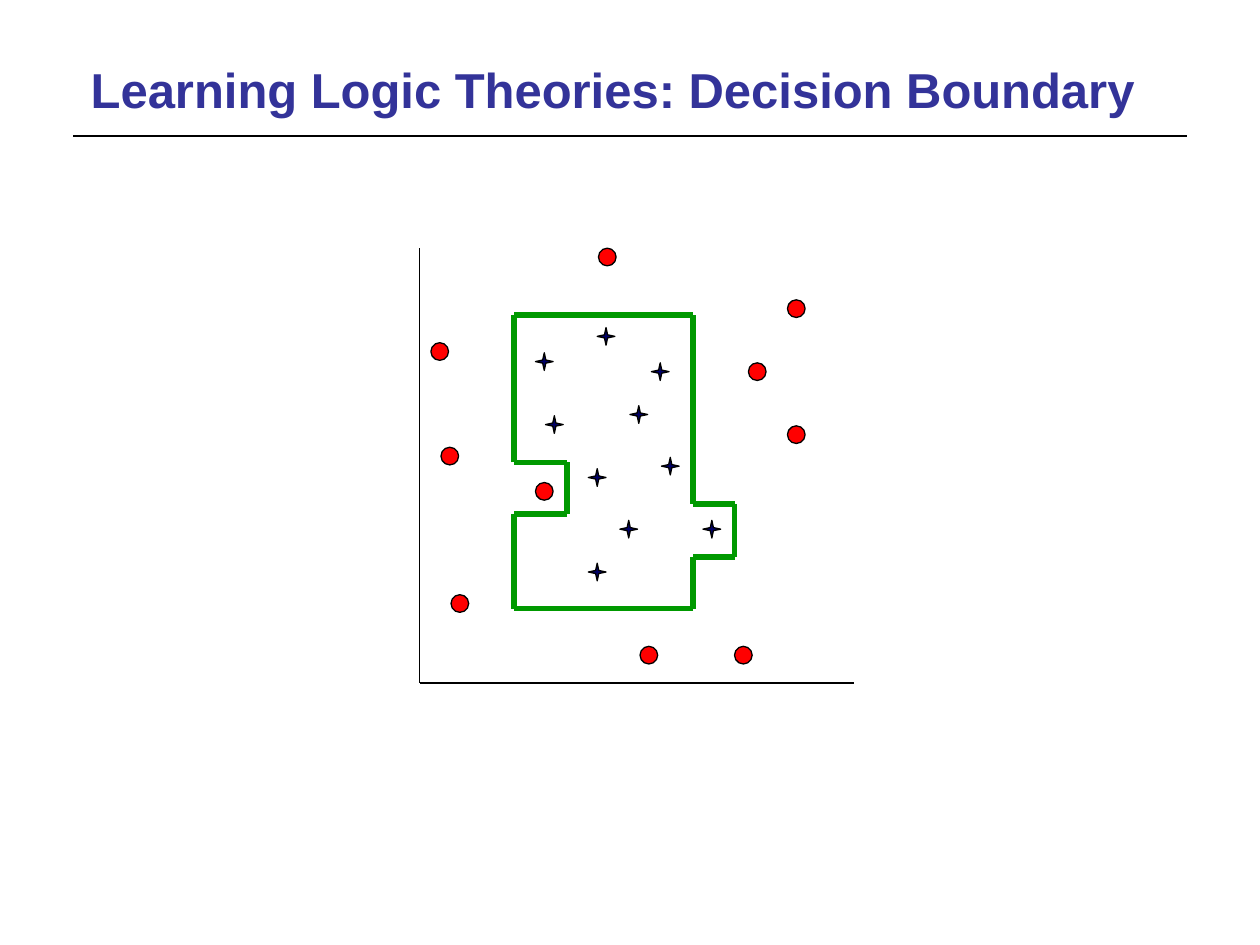
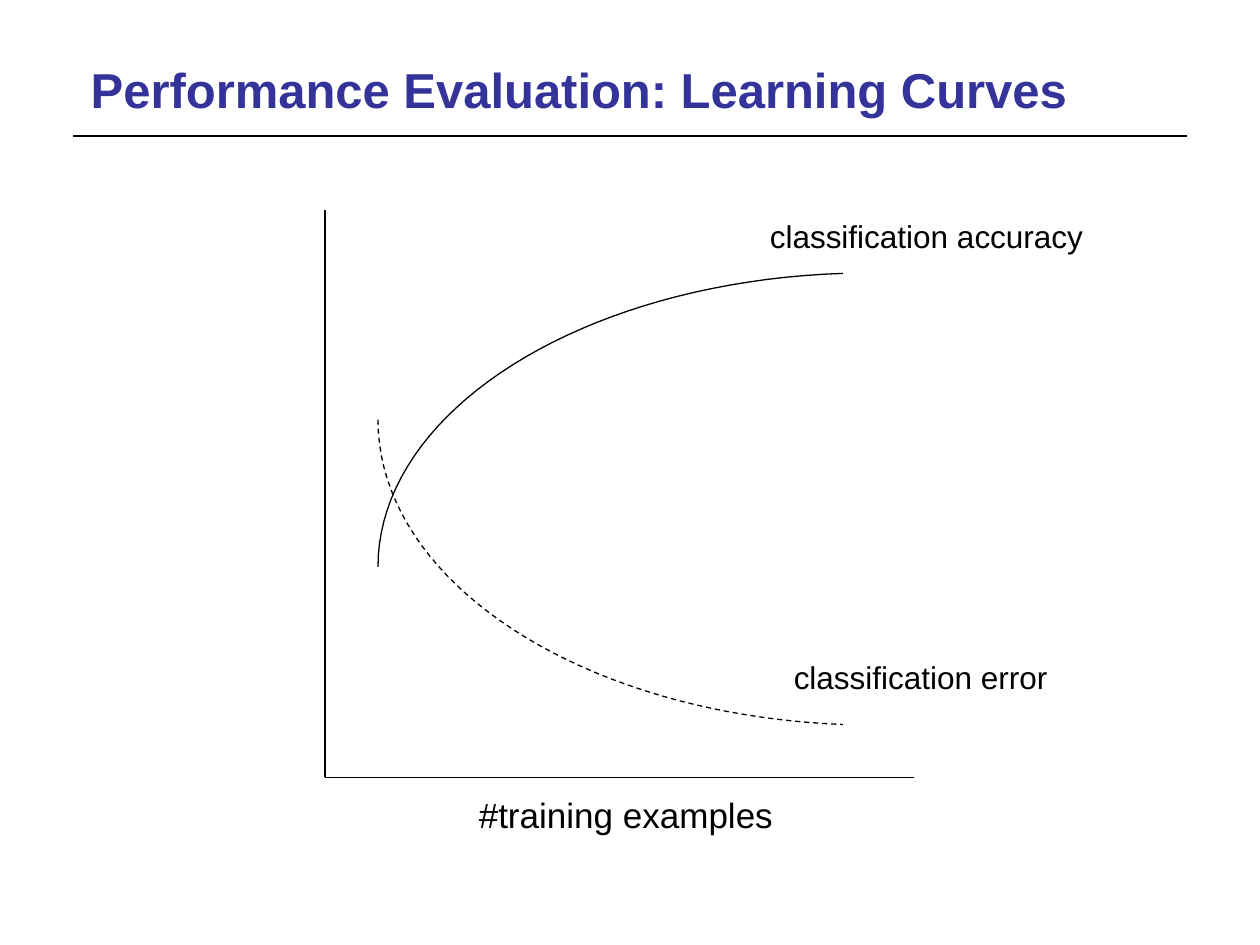
from pptx import Presentation
from pptx.dml.color import RGBColor
from pptx.enum.dml import MSO_LINE_DASH_STYLE as Dash
from pptx.enum.shapes import MSO_CONNECTOR as Link, MSO_SHAPE as Form
from pptx.enum.text import MSO_ANCHOR as Anchor, MSO_AUTO_SIZE as Fit
from pptx.oxml.ns import qn
from pptx.util import Inches, Pt
from lxml.etree import SubElement

BLACK = RGBColor(0x00, 0x00, 0x00)
INDIGO = RGBColor(0x33, 0x33, 0x99)
NAVY = RGBColor(0x00, 0x00, 0x66)
RED = RGBColor(0xFF, 0x00, 0x00)
GREEN = RGBColor(0x00, 0x99, 0x00)

FONT = "Arial"
THIN = 0.75
MARK = 0.14
STEPS = 40

STARS = [(5.58, 4.13), (4.74, 2.6), (5.17, 2.88), (5.25, 3.63), (4.92, 4.13),
         (5, 3.22), (4.67, 4.47), (4.67, 3.72), (4.33, 3.3), (4.25, 2.8)]
DOTS = [(4.25, 3.83), (3.5, 3.55), (3.42, 2.72), (3.58, 4.72), (6.25, 2.38),
        (6.25, 3.38), (4.75, 1.97), (5.94, 2.88), (5.08, 5.13), (5.83, 5.13)]
BORDER = [(4.08, 2.5), (5.5, 2.5), (5.5, 4), (5.83, 4), (5.83, 4.42), (5.5, 4.42),
          (5.5, 4.83), (4.08, 4.83), (4.08, 4.08), (4.5, 4.08), (4.5, 3.67), (4.08, 3.67)]
RISE = [(3, 4.5), (3, 3.26), (4.62, 2.24), (6.69, 2.17)]
FALL = [(3, 3.33), (3, 4.62), (4.62, 5.67), (6.69, 5.75)]


def bezier(ctrl, t):
    weights = ((1 - t) ** 3, 3 * t * (1 - t) ** 2, 3 * t ** 2 * (1 - t), t ** 3)
    return tuple(Inches(sum(w * p[i] for w, p in zip(weights, ctrl))) for i in (0, 1))


class Deck:
    def __init__(self):
        self.prs = Presentation()
        self.prs.slide_width = Inches(10)
        self.prs.slide_height = Inches(7.5)

    def page(self, title):
        self.shapes = self.prs.slides.add_slide(self.prs.slide_layouts[6]).shapes
        self.line((0.58, 1.08), (9.42, 1.08), 1)
        self.text(title, (0.67, 0.42, 8.67, 1), 28, INDIGO, bold=True, wrap=True)

    def text(self, words, box, size, color=BLACK, bold=False, wrap=False):
        frame = self.shapes.add_textbox(*map(Inches, box)).text_frame
        frame.text = words
        frame.word_wrap = wrap
        frame.auto_size = Fit.NONE if wrap else Fit.SHAPE_TO_FIT_TEXT
        frame.vertical_anchor = Anchor.TOP
        frame.margin_left = frame.margin_right = Inches(0.05)
        frame.margin_top = frame.margin_bottom = Inches(0.05)
        font = frame.paragraphs[0].runs[0].font
        font.name, font.size, font.bold = FONT, Pt(size), bold
        font.color.rgb = color

    def line(self, start, end, width=THIN, color=BLACK):
        link = self.shapes.add_connector(Link.STRAIGHT, *map(Inches, start + end))
        self.stroke(link, width, color)
        SubElement(link._element.spPr, qn("a:effectLst"))

    def stroke(self, item, width=THIN, color=BLACK):
        item.line.color.rgb = color
        item.line.width = Pt(width)

    def axes(self, left, top, right, base):
        self.line((left, top), (left, base))
        self.line((left, base), (right, base))

    def mark(self, form, spot, color):
        shape = self.shapes.add_shape(form, *map(Inches, spot + (MARK, MARK)))
        shape.shadow.inherit = False
        shape.fill.solid()
        shape.fill.fore_color.rgb = color
        self.stroke(shape)
        return shape

    def star(self, spot):
        self.mark(Form.STAR_4_POINT, spot, NAVY).adjustments[0] = 0.125

    def dot(self, spot):
        self.mark(Form.OVAL, spot, RED)

    def curve(self, ctrl, dash=None):
        points = [bezier(ctrl, i / STEPS) for i in range(STEPS + 1)]
        pen = self.shapes.build_freeform(*points[0])
        pen.add_line_segments(points[1:], close=False)
        shape = pen.convert_to_shape()
        shape.shadow.inherit = False
        shape.fill.background()
        self.stroke(shape)
        if dash:
            shape.line.dash_style = dash


def main():
    deck = Deck()

    deck.page("Learning Logic Theories: Decision Boundary")
    deck.axes(3.33, 1.97, 6.78, 5.42)
    for spot in STARS:
        deck.star(spot)
    for spot in DOTS:
        deck.dot(spot)
    for start, end in zip(BORDER, BORDER[1:] + BORDER[:1]):
        deck.line(start, end, 3, GREEN)

    deck.page("Performance Evaluation: Learning Curves")
    deck.axes(2.58, 1.67, 7.25, 6.17)
    deck.text("#training examples", (3.75, 6.25, 2.45, 0.41), 20)
    deck.curve(RISE)
    deck.curve(FALL, Dash.DASH)
    deck.text("classification accuracy", (6.06, 1.67, 2.6, 0.38), 18)
    deck.text("classification error", (6.25, 5.17, 2.13, 0.38), 18)

    deck.prs.save("out.pptx")


if __name__ == "__main__":
    main()
